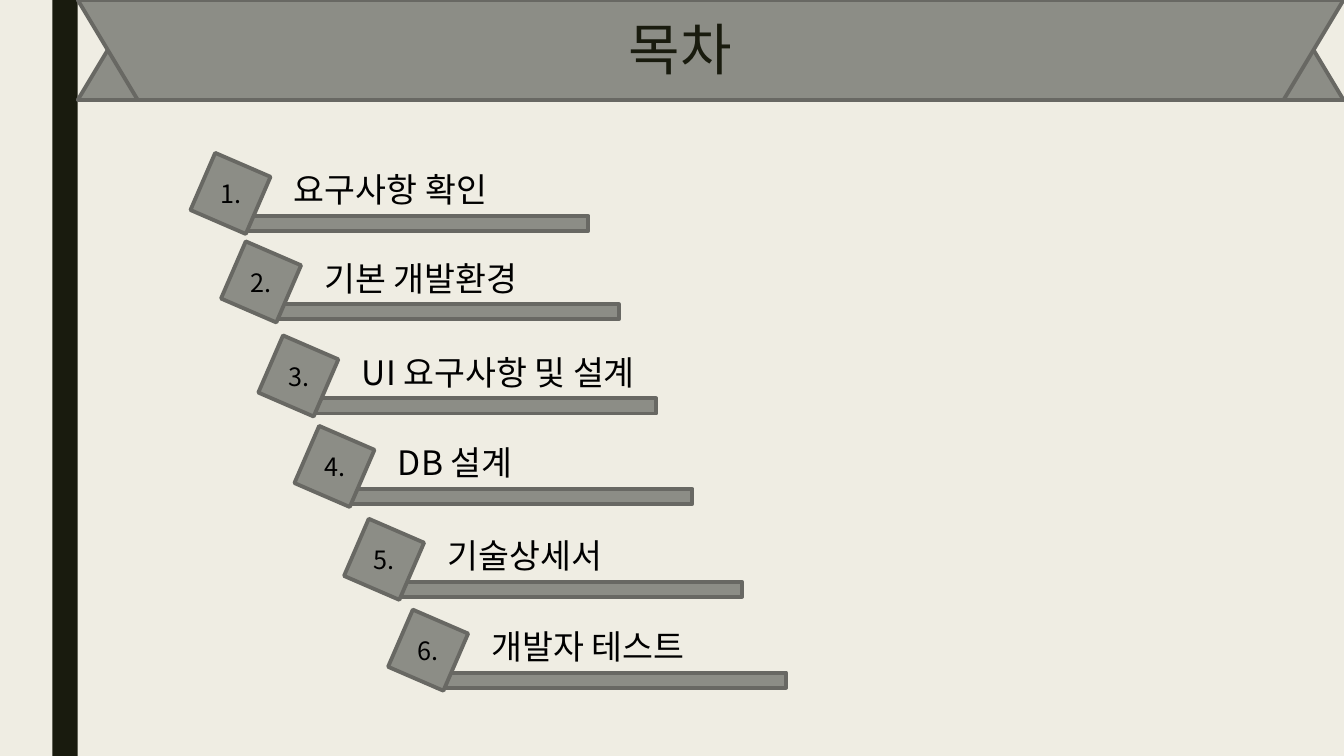
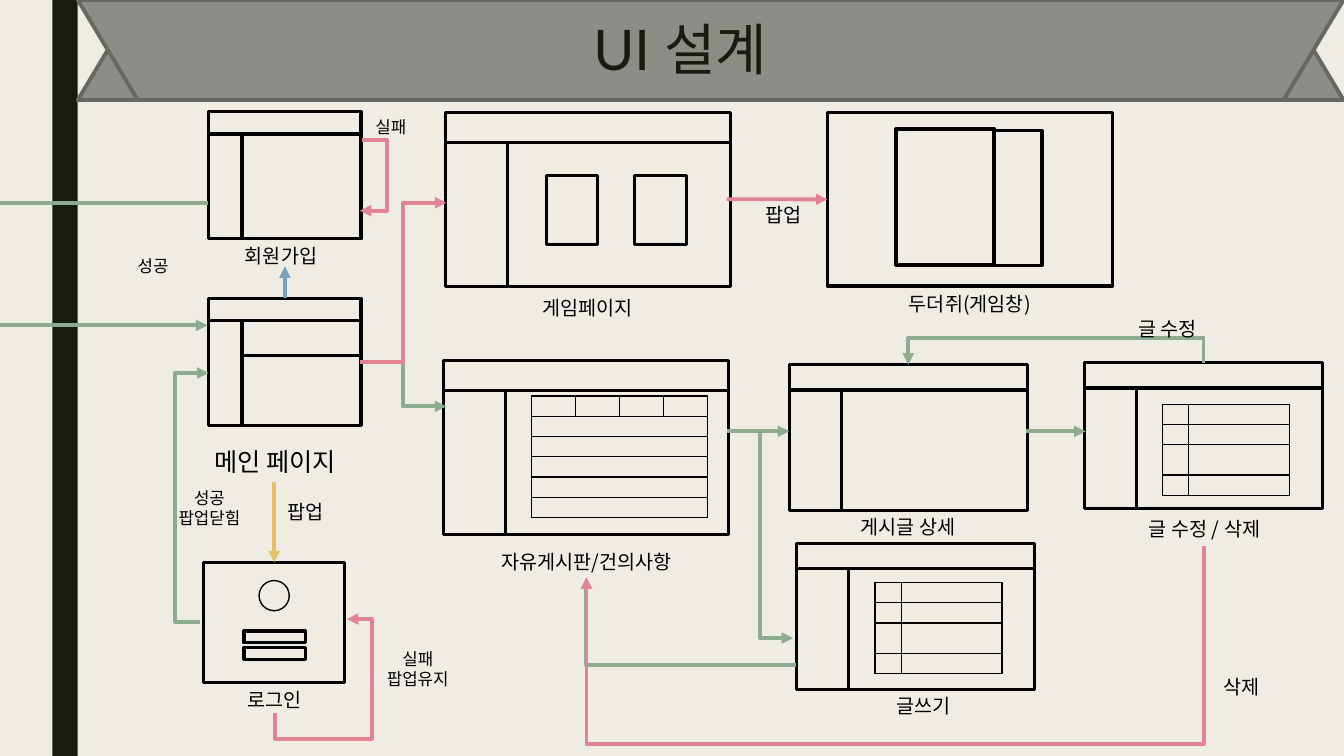
from lxml import etree
from pptx import Presentation
from pptx.dml.color import RGBColor
from pptx.enum.shapes import MSO_CONNECTOR as Connector, MSO_SHAPE as Shape
from pptx.enum.text import MSO_ANCHOR as Anchor, PP_ALIGN as Align
from pptx.oxml.ns import qn
from pptx.util import Cm, Pt

COLORS = {
    "paper": "EFEDE3", "ink": "191B0E", "black": "000000",
    "gray": "8C8D86", "edge": "686863",
    "green": "8DAB8E", "pink": "E28394", "yellow": "E6C069", "blue": "77A2BB",
}
KOREAN, LATIN = "Noto Sans CJK KR", "Lato"
TOP, LEFT = 0, 1


def color(name):
    return RGBColor.from_string(COLORS[name])


def add_xml(parent, tag, **attributes):
    return etree.SubElement(parent, qn(tag), attributes)


class Deck:
    """Holds the style and the slide being drawn; lengths are in centimetres."""

    def __init__(self):
        self.presentation = Presentation()
        self.presentation.slide_width = Cm(33.87)
        self.presentation.slide_height = Cm(19.05)
        self.slide = None

    def new_slide(self, title):
        self.slide = self.presentation.slides.add_slide(self.presentation.slide_layouts[6])
        fill = self.slide.background.fill
        fill.solid()
        fill.fore_color.rgb = color("paper")
        self.box(1.32, 0, 0.64, 19.05, fill="ink", line=None)
        for flipped in (False, True):
            ribbon = self.gray_box(1.96, 0, 31.9, 2.52, Shape.TRAPEZOID)
            ribbon.adjustments[0] = 0.6
            if flipped:
                ribbon.element.spPr.find(qn("a:xfrm")).set("flipV", "1")
        self.text(title, 3.81, 0.13, 26.67, 2.39, size=40, font=LATIN, ink="ink",
                  anchor=Anchor.MIDDLE, spacing=0.89)

    def box(self, left, top, width, height, kind=Shape.RECTANGLE,
            fill=None, line="black", weight=2.25):
        shape = self.slide.shapes.add_shape(kind, Cm(left), Cm(top), Cm(width), Cm(height))
        shape.shadow.inherit = False
        if fill:
            shape.fill.solid()
            shape.fill.fore_color.rgb = color(fill)
        else:
            shape.fill.background()
        if line:
            shape.line.color.rgb = color(line)
            shape.line.width = Pt(weight)
        else:
            shape.line.fill.background()
        return shape

    def gray_box(self, left, top, width, height, kind=Shape.RECTANGLE):
        return self.box(left, top, width, height, kind, "gray", "edge", 2.75)

    def text(self, words, left, top, width, height=0.86, size=14, font=KOREAN,
             ink="black", align=Align.CENTER, anchor=Anchor.TOP, spacing=None):
        shape = self.slide.shapes.add_textbox(Cm(left), Cm(top), Cm(width), Cm(height))
        frame = shape.text_frame
        frame.word_wrap = True
        frame.vertical_anchor = anchor
        frame.text = words
        for paragraph in frame.paragraphs:
            paragraph.alignment = align
            paragraph.line_spacing = spacing
            for run in paragraph.runs:
                run.font.size = Pt(size)
                run.font.name = font
                run.font.color.rgb = color(ink)
                add_xml(run.font._element, "a:ea", typeface=KOREAN)

    def wireframe(self, left, top, width, height, header, sidebar):
        """Draw a page outline and return its header."""
        body_top, body_height = top + header, height - header
        self.box(left + sidebar, body_top, width - sidebar, body_height)
        self.box(left, body_top, sidebar, body_height)
        return self.box(left, top, width, header)

    def table(self, left, top, columns, rows, merge_below_first=False):
        """Draw an empty grid with thin black borders."""
        table = self.slide.shapes.add_table(
            len(rows), len(columns), Cm(left), Cm(top), Cm(sum(columns)), Cm(sum(rows))).table
        table.first_row = table.horz_banding = False
        for column, width in zip(table.columns, columns):
            column.width = Cm(width)
        for row, height in zip(table.rows, rows):
            row.height = Cm(height)
        for cell in table.iter_cells():
            cell.margin_top = cell.margin_bottom = 0
            add_xml(cell.text_frame.paragraphs[0]._p, "a:endParaRPr", sz="600")
            properties = cell._tc.get_or_add_tcPr()
            for side in ("a:lnL", "a:lnR", "a:lnT", "a:lnB"):
                border = add_xml(properties, side, w=str(Pt(1)))
                add_xml(add_xml(border, "a:solidFill"), "a:srgbClr", val=COLORS["black"])
            cell.fill.background()
        if merge_below_first:
            for row in range(1, len(rows)):
                table.cell(row, 0).merge(table.cell(row, len(columns) - 1))

    def line(self, start, end, ink, arrow=True, kind=Connector.STRAIGHT):
        connector = self.slide.shapes.add_connector(
            kind, *(Cm(length) for length in (*start, *end)))
        connector.line.color.rgb = color(ink)
        connector.line.width = Pt(2.75)
        if arrow:
            add_xml(connector.line._get_or_add_ln(), "a:tailEnd", type="triangle")
        add_xml(connector.element.spPr, "a:effectLst")
        return connector

    def elbow(self, start, end, ink, bends=(), vertical=False):
        """Draw a bent arrow; bends are the x and y of its inner segments in turn.

        A vertical elbow leaves its start upwards or downwards, and its first bend is a y.
        """
        (x1, y1), (x2, y2) = start, end
        if vertical:
            # The frame is turned a quarter about its centre.
            x, y = (x1 + x2) / 2, (y1 + y2) / 2
            connector = self.line((x + y1 - y, y - x1 + x), (x + y2 - y, y - x2 + x),
                                  ink, kind=Connector.ELBOW)
            connector.element.spPr.find(qn("a:xfrm")).set("rot", "5400000")
            axes = ((y1, y2), (x1, x2))
        else:
            connector = self.line(start, end, ink, kind=Connector.ELBOW)
            axes = ((x1, x2), (y1, y2))
        geometry = connector.element.spPr.find(qn("a:prstGeom"))
        geometry.set("prst", f"bentConnector{len(bends) + 2}")
        guides = geometry.find(qn("a:avLst"))
        for number, (bend, (first, last)) in enumerate(zip(bends, axes), 1):
            ratio = round((bend - first) / (last - first) * 100000)
            add_xml(guides, "a:gd", name=f"adj{number}", fmla=f"val {ratio}")


def contents_slide(deck):
    deck.new_slide("목차")
    entries = [
        (5.05, 4.09, "요구사항 확인"), (5.82, 6.32, "기본 개발환경"),
        (6.76, 8.69, "UI 요구사항 및 설계"), (7.67, 10.97, "DB 설계"),
        (8.92, 13.31, "기술상세서"), (10.03, 15.6, "개발자 테스트"),
    ]
    for number, (left, top, label) in enumerate(entries, 1):
        deck.gray_box(left + 0.99, top + 1.35, 8.79, 0.38)
        deck.gray_box(left, top, 1.52, 1.57).rotation = 23.4
        deck.text(f"{number}.", left + 0.25, top + 0.28, 1.32, 1.02, 18, align=Align.LEFT)
        deck.text(label, left + 2.11, top + 0.05, 9.12, 1.27, 24, align=Align.LEFT)


def interface_slide(deck):
    deck.new_slide("UI 설계")

    small, large, medium = (3.84, 3.2, 0.56, 0.84), (7.19, 4.39, 0.76, 1.57), (6, 3.68, 0.64, 1.31)
    deck.wireframe(5.26, 2.82, *small)
    main_header = deck.wireframe(5.26, 7.52, *small)
    deck.box(6.1, 8.08, 3, 0.89)
    for left, top in ((11.23, 2.84), (11.18, 9.09)):
        deck.wireframe(left, top, *large)
    for left, top in ((19.89, 9.19), (20.07, 13.69), (27.33, 9.14)):
        deck.wireframe(left, top, *medium)
    for left in (13.77, 16):
        deck.box(left, 4.42, 1.3, 1.75)

    game_window = deck.box(20.85, 2.84, 7.19, 4.37)
    deck.box(22.58, 3.25, 2.49, 3.43)
    deck.box(25.04, 3.3, 1.22, 3.4)
    login = deck.box(5.13, 14.17, 3.56, 3.02)
    deck.box(6.53, 14.63, 0.76, 0.76, Shape.OVAL, weight=1)
    for top in (15.9, 16.31):
        deck.box(6.15, top, 1.55, 0.3)

    deck.table(13.39, 9.98, [1.11] * 4, [0.51] * 6, merge_below_first=True)
    for left, top in ((22.05, 14.68), (29.29, 10.19)):
        deck.table(left, top, [0.66, 2.54], [0.51, 0.51, 0.76, 0.51])

    deck.elbow((18.31, 10.87), (19.99, 16.08), "green", [19.15])
    deck.elbow((9.07, 9.12), (11.25, 10.24), "green", [10.16])
    deck.elbow((9.07, 9.12), (11.25, 5.11), "pink", [10.16])
    deck.elbow((20.07, 16.76), (14.78, 14.55), "green")
    deck.elbow((30.33, 9.14), (22.89, 9.19), "green", [8.51], vertical=True)
    deck.elbow((30.35, 13.77), (14.78, 14.55), "pink", [18.75], vertical=True)
    deck.elbow((5.05, 15.67), (5.26, 9.4), "green", [4.42])
    deck.elbow((6.93, 17.96), (8.74, 15.6), "pink", [18.62, 9.37], vertical=True)
    deck.elbow((9.12, 3.53), (9.07, 5.31), "pink", [9.75])

    deck.line((18.42, 10.87), (19.89, 10.87), "green")
    deck.line((25.86, 10.87), (27.36, 10.87), "green")
    deck.line((0, 5.11), (5.23, 5.11), "green", arrow=False)
    deck.line((0, 8.2), (5.23, 8.2), "green")
    deck.line((18.31, 5.02), (20.85, 5.02), "pink").end_connect(game_window, LEFT)
    deck.line((6.91, 12.14), (6.91, 14.17), "yellow").end_connect(login, TOP)
    deck.line((7.18, 7.52), (7.18, 6.71), "blue").begin_connect(main_header, TOP)

    deck.text("메인 페이지", 4.83, 11.13, 4.22, 1.02, 18)
    labels = [
        ("회원가입", 5.13, 6.02, 3.91), ("게임페이지", 12.7, 7.34, 4.22),
        ("두더쥐(게임창)", 22.33, 7.24, 4.22), ("자유게시판/건의사항", 12.17, 13.72, 5.23),
        ("게시글 상세", 20.27, 12.85, 5.23), ("글쓰기", 20.65, 17.35, 5.23),
        ("글 수정 / 삭제", 27.74, 12.9, 5.23), ("로그인", 5.82, 17.2, 2.18),
        ("글 수정", 28.24, 7.85, 2.36), ("삭제", 30.38, 16.87, 1.83), ("팝업", 18.82, 5, 1.83),
    ]
    for label in labels:
        deck.text(*label)
    deck.text("팝업", 6.99, 12.47, 1.83, font=LATIN, align=Align.LEFT)
    outcomes = [
        ("성공\n팝업닫힘", 4.11, 12.17, 2.34, 1.27), ("실패\n팝업유지", 9.4, 16.23, 2.26, 1.27),
        ("성공", 2.69, 6.32, 2.34, 0.76), ("실패", 9.09, 2.82, 1.52, 0.76),
    ]
    for outcome in outcomes:
        deck.text(*outcome, size=12, font=LATIN)


def main():
    deck = Deck()
    contents_slide(deck)
    interface_slide(deck)
    deck.presentation.save("out.pptx")


if __name__ == "__main__":
    main()
